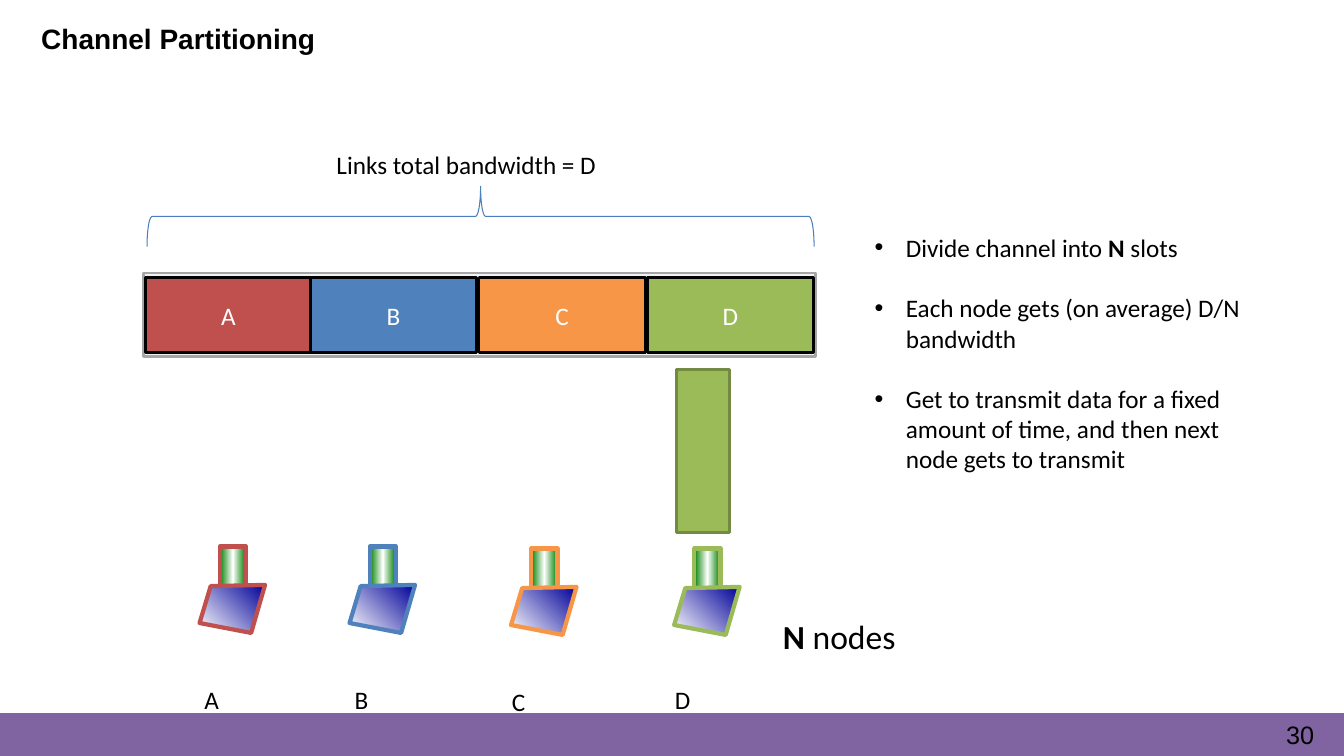
"""Build the Channel Partitioning slide."""
from dataclasses import dataclass

from lxml import etree
from pptx import Presentation
from pptx.dml.color import RGBColor as RGB
from pptx.enum.shapes import MSO_SHAPE as SHAPE
from pptx.enum.text import MSO_ANCHOR as ANCHOR, PP_ALIGN as ALIGN
from pptx.oxml import parse_xml
from pptx.oxml.ns import nsdecls, qn
from pptx.util import Cm, Pt


@dataclass(frozen=True)
class Theme:
    """Colours, fonts and type sizes."""
    head: str = "Arial"
    body: str = "Calibri"
    title: int = 20
    text: int = 18
    large: int = 24
    ink: str = "000000"
    white: str = "FFFFFF"
    purple: str = "8063A1"
    frame: str = "F2F2F2"
    frame_edge: str = "A6A6A6"
    brace: str = "4B7EBC"
    packet_edge: str = "738A42"
    tower: tuple = ((0, "008000"), (50, "FFFFFF"), (100, "008000"))
    screen: tuple = ((0, "000099"), (100, "FFFFFF"))


T = Theme()
SLIDE_W, SLIDE_H = 33.87, 19.05
FOOTER_TOP = 17.98
SLOT_TOP, SLOT_W, SLOT_H = 6.99, 4.19, 1.9

TITLE = "Channel Partitioning"
PAGE = "30"
BANDWIDTH = "Links total bandwidth = D"
NODES_LABEL = [("N", True), (" nodes", False)]
POINTS = [
    [("Divide channel into ", False), ("N", True), (" slots", False)],
    [("Each node gets (on average) D/N bandwidth", False)],
    [("Get to transmit data for a fixed amount of time, "
      "and then next node gets to transmit", False)],
]
# name, colour, slot left, node (left, top), label (left, top)
NODES = [
    ("A", "C0504D", 3.66, (5.03, 13.77), (4.9, 17.12)),
    ("B", "4F81BD", 7.82, (8.81, 13.77), (8.69, 17.12)),
    ("C", "F79646", 12.07, (12.88, 13.82), (12.65, 17.17)),
    ("D", "9BBB59", 16.31, (16.99, 13.82), (16.76, 17.12)),
]
TOWER = (0.51, 0, 0.66, 1.04)
SCREEN = [(1.65, 0.97), (0.28, 1), (0, 1.93), (1.3, 2.18)]


def style(sp, fill, line, width):
    """Set fill and outline, and drop the shadow."""
    sp.shadow.inherit = False
    if fill:
        sp.fill.solid()
        sp.fill.fore_color.rgb = RGB.from_string(fill)
    else:
        sp.fill.background()
    sp.line.color.rgb = RGB.from_string(line)
    sp.line.width = Pt(width)


def add_block(shapes, box, fill, line, width, kind=SHAPE.RECTANGLE):
    """Add a preset shape; box is in centimetres."""
    sp = shapes.add_shape(kind, *map(Cm, box))
    style(sp, fill, line, width)
    return sp


def set_gradient(sp, stops, angle):
    """Replace a solid fill by a linear gradient."""
    grad = parse_xml(f'<a:gradFill {nsdecls("a")} rotWithShape="1"><a:gsLst/></a:gradFill>')
    for pos, colour in stops:
        gs = etree.SubElement(grad[0], qn("a:gs"), pos=str(pos * 1000))
        etree.SubElement(gs, qn("a:srgbClr"), val=colour)
    etree.SubElement(grad, qn("a:lin"), ang=str(angle * 60000), scaled="0")
    spPr = sp.fill._xPr
    spPr.replace(spPr.find(qn("a:solidFill")), grad)


def add_runs(p, runs, size, font=T.body, colour=T.ink):
    """Add (text, bold) runs to a paragraph."""
    for text, bold in runs:
        r = p.add_run()
        r.text = text
        r.font.name, r.font.size, r.font.bold = font, Pt(size), bold
        r.font.color.rgb = RGB.from_string(colour)


def add_text(shapes, box, paragraphs, size, font=T.body, wrap=False, inset=(0.25, 0.13)):
    """Add a text box and return its paragraphs."""
    tf = shapes.add_textbox(*map(Cm, box)).text_frame
    tf.word_wrap = wrap
    tf.margin_left = tf.margin_right = Cm(inset[0])
    tf.margin_top = tf.margin_bottom = Cm(inset[1])
    for i, runs in enumerate(paragraphs):
        p = tf.add_paragraph() if i else tf.paragraphs[0]
        add_runs(p, runs, size, font)
    return tf.paragraphs


def add_bullet(p):
    """Give a paragraph a hanging bullet."""
    pPr = p._p.get_or_add_pPr()
    pPr.set("marL", str(Cm(0.79)))
    pPr.set("indent", str(-Cm(0.79)))
    etree.SubElement(pPr, qn("a:buFont"), typeface=T.head)
    etree.SubElement(pPr, qn("a:buChar"), char="•")


def add_node(shapes, left, top, colour):
    """Add a grouped computer outlined in its slot colour."""
    group = shapes.add_group_shape().shapes
    dx, dy, w, h = TOWER
    tower = add_block(group, (left + dx, top + dy, w, h), T.white, colour, 3)
    set_gradient(tower, T.tower, 0)
    corners = [(Cm(left + x), Cm(top + y)) for x, y in SCREEN]
    outline = group.build_freeform(*corners[0])
    outline.add_line_segments(corners[1:], close=True)
    screen = outline.convert_to_shape()
    style(screen, T.white, colour, 3)
    set_gradient(screen, T.screen, 135)


def main():
    """Draw the slide and save it."""
    prs = Presentation()
    prs.slide_width, prs.slide_height = Cm(SLIDE_W), Cm(SLIDE_H)
    shapes = prs.slides.add_slide(prs.slide_layouts[6]).shapes

    add_block(shapes, (0, FOOTER_TOP, SLIDE_W, SLIDE_H - FOOTER_TOP), T.purple, T.purple, 1)
    add_text(shapes, (1.04, 0.28, 15, 1.12), [[(TITLE, True)]], T.title, T.head,
             inset=(0, 0.25))
    page = add_text(shapes, (32.41, 18.16, 1.35, 0.79), [[(PAGE, False)]], T.text, T.head,
                    inset=(0, 0))
    page[0].line_spacing = Pt(20.9)

    add_block(shapes, (3.61, 6.88, 16.94, 2.11), T.frame, T.frame_edge, 2)
    for name, colour, slot_left, node, label in NODES:
        add_node(shapes, *node, colour)
        slot = add_block(shapes, (slot_left, SLOT_TOP, SLOT_W, SLOT_H), colour, T.ink, 2)
        slot.text_frame.vertical_anchor = ANCHOR.MIDDLE
        p = slot.text_frame.paragraphs[0]
        p.alignment = ALIGN.CENTER
        add_runs(p, [(name, False)], T.text, colour=T.white)
        add_text(shapes, (*label, 0.95, 1.02), [[(name, False)]], T.text)

    add_text(shapes, (19.48, 15.39, 3.94, 1.27), [NODES_LABEL], T.large)
    brace = add_block(shapes, (11.35, -2.95, 1.52, 16.81), None, T.brace, 0.75,
                      SHAPE.LEFT_BRACE)
    brace.rotation = 90
    add_text(shapes, (8.23, 3.63, 7.7, 1.02), [[(BANDWIDTH, False)]], T.text)

    points = add_text(shapes, (21.79, 5.72, 10.59, 6.4), POINTS, T.text, wrap=True)
    for i, p in enumerate(points):
        add_bullet(p)
        if i:
            p.space_before = Pt(21.6)
    add_block(shapes, (17.04, 9.32, 1.35, 4.11), NODES[-1][1], T.packet_edge, 2)
    prs.save("out.pptx")


if __name__ == "__main__":
    main()
